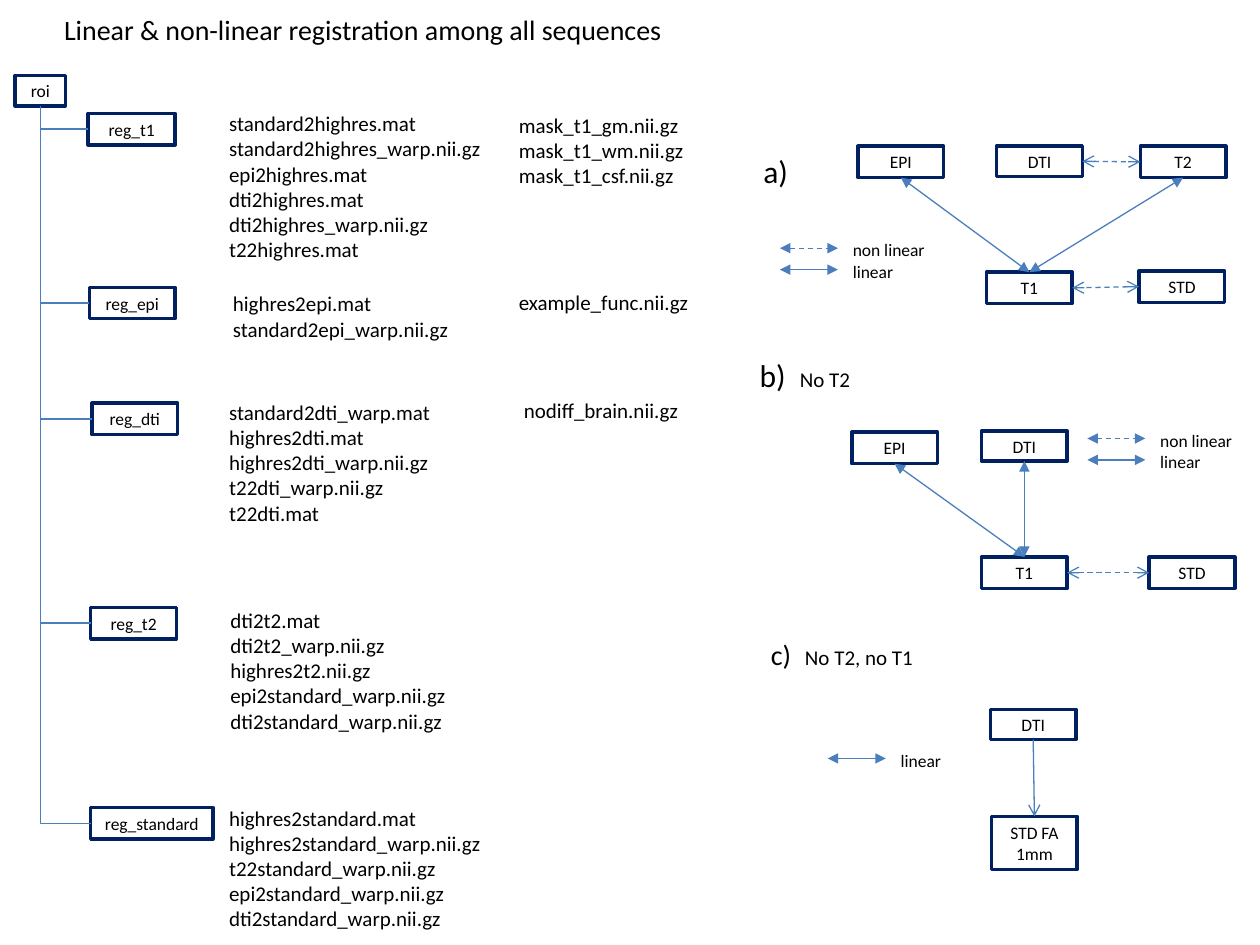
from dataclasses import dataclass

from lxml import etree
from pptx import Presentation
from pptx import util as u
from pptx.dml.color import RGBColor
from pptx.enum import dml, shapes, text
from pptx.oxml.ns import qn

TOP, LEFT, BOTTOM, RIGHT = range(4)


def colour(value):
    return RGBColor.from_string(value)


@dataclass
class Diagram:
    """Draws labelled nodes, links and text on one slide in a shared style."""

    slide: object
    font: str = "Calibri"
    ink: str = "000000"
    paper: str = "FFFFFF"
    border: str = "002060"
    link: str = "4B7EBC"

    def style(self, span, size):
        span.font.name = self.font
        span.font.size = u.Pt(size)
        span.font.color.rgb = colour(self.ink)

    def fill_text(self, frame, lines, size):
        frame.text = "\n".join(lines)
        for para in frame.paragraphs:
            for span in para.runs:
                self.style(span, size)

    def node(self, label, left, top, width=0.68, height=0.25):
        box = self.slide.shapes.add_shape(
            shapes.MSO_SHAPE.RECTANGLE, *map(u.Inches, (left, top, width, height)))
        box.shadow.inherit = False
        box.fill.solid()
        box.fill.fore_color.rgb = colour(self.paper)
        box.line.color.rgb = colour(self.border)
        box.line.width = u.Pt(2)
        frame = box.text_frame
        frame.vertical_anchor = text.MSO_ANCHOR.MIDDLE
        self.fill_text(frame, label.split("\n"), 10)
        for para in frame.paragraphs:
            para.alignment = text.PP_ALIGN.CENTER
        return box

    def note(self, lines, left, top, width, height, size=12, wrap=True):
        box = self.slide.shapes.add_textbox(*map(u.Inches, (left, top, width, height)))
        frame = box.text_frame
        frame.word_wrap = wrap
        frame.auto_size = text.MSO_AUTO_SIZE.SHAPE_TO_FIT_TEXT
        self.fill_text(frame, lines, size)
        return box

    def heading(self, letter, caption, left, top, size, indent):
        box = self.note([letter + "\t"], left, top, 2.15, 0.4, size)
        para = box.text_frame.paragraphs[0]
        span = para.add_run()
        span.text = caption
        self.style(span, 12)
        margin = u.Inches(indent)
        props = para._p.get_or_add_pPr()
        props.set("marL", str(margin))
        props.set("indent", str(-margin))

    def line(self, start, end, head=None, tail=None, dashed=False):
        points = map(u.Inches, (*start, *end))
        wire = self.slide.shapes.add_connector(shapes.MSO_CONNECTOR.STRAIGHT, *points)
        wire.line.color.rgb = colour(self.link)
        wire.line.width = u.Pt(0.75)
        if dashed:
            wire.line.dash_style = dml.MSO_LINE.DASH
        outline = wire.line._get_or_add_ln()
        for tag, kind in (("a:headEnd", head), ("a:tailEnd", tail)):
            if kind:
                etree.SubElement(outline, qn(tag)).set("type", kind)
        etree.SubElement(wire._element.spPr, qn("a:effectLst"))
        return wire

    def join(self, first, side, second, other, head=None, tail=None, dashed=False):
        wire = self.line((0, 0), (1, 1), head, tail, dashed)
        wire.begin_connect(first, side)
        wire.end_connect(second, other)
        return wire

    def branch(self, parent, child):
        wire = self.join(parent, BOTTOM, child, LEFT)
        across, down = wire.width, wire.height
        middle_x, middle_y = wire.left + across // 2, wire.top + down // 2
        wire.left, wire.top = middle_x - down // 2, middle_y - across // 2
        wire.width, wire.height = down, across
        props = wire._element.spPr
        props.find(qn("a:prstGeom")).set("prst", "bentConnector2")
        frame = props.find(qn("a:xfrm"))
        frame.set("rot", str(270 * 60000))
        frame.set("flipH", "1")

    def legend(self, left, top, labels):
        for row, label in enumerate(labels):
            y = top + row * 0.17
            self.line((left, y), (left + 0.46, y), "triangle", "triangle",
                      label == "non linear")
            self.note([label], left + 0.48, y - 0.12, 0.85, 0.27, 10)


FOLDERS = [
    ("reg_t1", 0.7, 0.9, 0.69, (1.72, 0.83, 2.36, 1.31),
     ["standard2highres.mat", "standard2highres_warp.nii.gz", "epi2highres.mat",
      "dti2highres.mat", "dti2highres_warp.nii.gz", "t22highres.mat"]),
    ("reg_epi", 0.71, 2.28, 0.68, (1.75, 2.26, 1.92, 0.5),
     ["highres2epi.mat", "standard2epi_warp.nii.gz"]),
    ("reg_dti", 0.73, 3.2, 0.68, (1.72, 3.12, 1.95, 1.11),
     ["standard2dti_warp.mat", "highres2dti.mat", "highres2dti_warp.nii.gz",
      "t22dti_warp.nii.gz", "t22dti.mat"]),
    ("reg_t2", 0.72, 4.82, 0.68, (1.73, 4.77, 2.03, 1.11),
     ["dti2t2.mat", "dti2t2_warp.nii.gz", "highres2t2.nii.gz",
      "epi2standard_warp.nii.gz", "dti2standard_warp.nii.gz"]),
    ("reg_standard", 0.72, 6.41, 0.97, (1.72, 6.34, 2.36, 1.11),
     ["highres2standard.mat", "highres2standard_warp.nii.gz", "t22standard_warp.nii.gz",
      "epi2standard_warp.nii.gz", "dti2standard_warp.nii.gz"]),
]
IMAGES = [
    (["mask_t1_gm.nii.gz", "mask_t1_wm.nii.gz", "mask_t1_csf.nii.gz"], 4.02, 0.84, 1.52, 0.71),
    (["example_func.nii.gz"], 4.02, 2.25, 1.56, 0.3),
    (["nodiff_brain.nii.gz"], 4.06, 3.11, 1.46, 0.3),
]
LINEAR = dict(head="triangle", tail="triangle")
NON_LINEAR = dict(head="arrow", tail="arrow", dashed=True)


def draw_tree(diagram):
    root = diagram.node("roi", 0.12, 0.6, 0.4, 0.24)
    for name, left, top, width, area, files in FOLDERS:
        folder = diagram.node(name, left, top, width)
        diagram.branch(root, folder)
        diagram.note(files, *area, wrap=name != "reg_epi")
    for files, *area in IMAGES:
        diagram.note(files, *area, wrap=False)


def draw_all_sequences(diagram):
    diagram.note(["a)"], 5.96, 1.16, 0.46, 0.4, 18)
    epi = diagram.node("EPI", 6.81, 1.16)
    dti = diagram.node("DTI", 7.91, 1.16, height=0.24)
    t2 = diagram.node("T2", 9.05, 1.16)
    t1 = diagram.node("T1", 7.83, 2.16)
    std = diagram.node("STD", 9.04, 2.15)
    diagram.join(dti, RIGHT, t2, LEFT, **NON_LINEAR)
    diagram.join(std, LEFT, t1, RIGHT, **NON_LINEAR)
    for source in (t2, epi):
        diagram.join(source, BOTTOM, t1, TOP, **LINEAR)
    diagram.legend(6.19, 1.97, ["non linear", "linear"])


def draw_without_t2(diagram):
    diagram.heading("b)", "No T2", 5.93, 2.78, 18, 0.32)
    epi = diagram.node("EPI", 6.76, 3.43)
    dti = diagram.node("DTI", 7.79, 3.42, height=0.24)
    t1 = diagram.node("T1", 7.79, 4.42)
    std = diagram.node("STD", 9.12, 4.42)
    diagram.join(std, LEFT, t1, RIGHT, **NON_LINEAR)
    for source in (dti, epi):
        diagram.join(source, BOTTOM, t1, TOP, **LINEAR)
    diagram.legend(8.63, 3.48, ["non linear", "linear"])


def draw_without_t1(diagram):
    diagram.heading("c)", "No T2, no T1", 6.02, 5.01, 16, 0.27)
    dti = diagram.node("DTI", 7.86, 5.63, height=0.24)
    std = diagram.node("STD FA\n1mm", 7.87, 6.48, height=0.42)
    diagram.join(dti, BOTTOM, std, TOP, tail="arrow")
    diagram.legend(6.57, 6.02, ["linear"])


def main():
    deck = Presentation()
    deck.slide_width, deck.slide_height = u.Inches(10), u.Inches(7.5)
    diagram = Diagram(deck.slides.add_slide(deck.slide_layouts[6]))
    diagram.note(["Linear & non-linear registration among all sequences"],
                 0.41, 0.05, 5.85, 0.37, 16)
    draw_tree(diagram)
    draw_all_sequences(diagram)
    draw_without_t2(diagram)
    draw_without_t1(diagram)
    deck.save("out.pptx")


if __name__ == "__main__":
    main()
